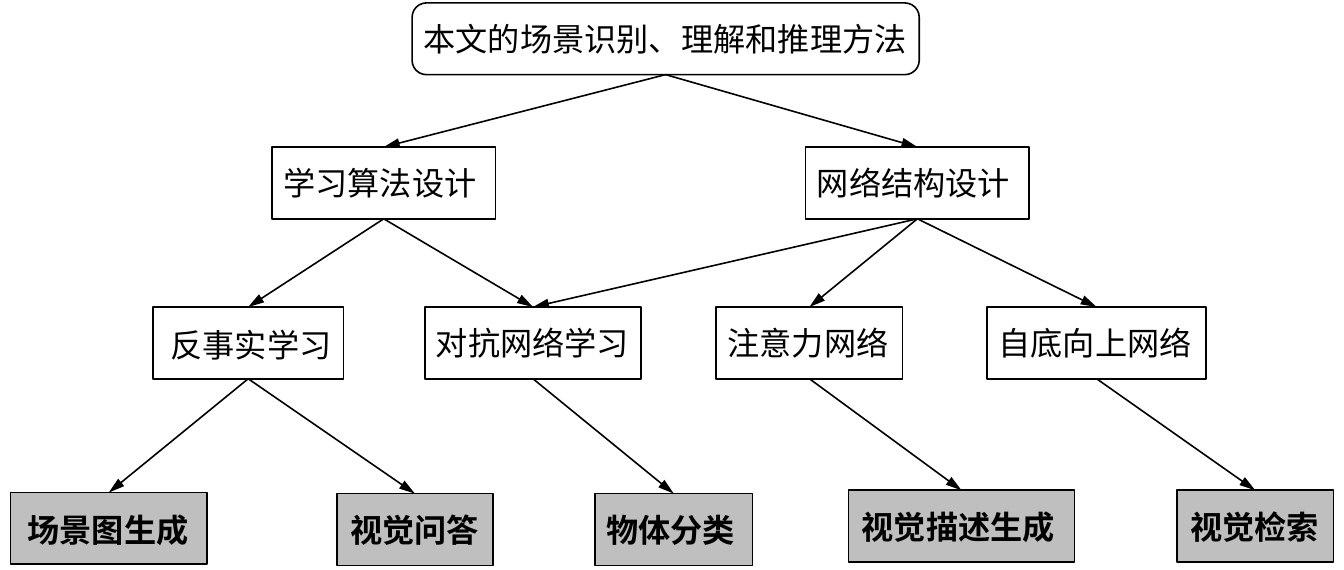
from pptx import Presentation
from pptx.dml.color import RGBColor
from pptx.enum.shapes import MSO_CONNECTOR, MSO_SHAPE
from pptx.enum.text import MSO_ANCHOR, PP_ALIGN
from pptx.oxml.ns import qn
from pptx.util import Pt
from lxml.etree import SubElement

FONT = "Noto Sans CJK SC"
INK, GREY, WHITE = "000000", "BFBFBF", "FFFFFF"
HIGH = 44.6
INSET = 7

# Each level: top, fill, bold, boxes as
# (text, left, width, drop of box, text shift right, text shift down)
LEVELS = [
    (1.8, WHITE, False, [
        ("本文的场景识别、理解和推理方法", 256.3, 315.4, 0, -2.5, 0)]),
    (91.4, WHITE, False, [
        ("学习算法设计", 169.2, 139, 0, 0, 0),
        ("网络结构设计", 501.1, 139, 0, 0, 0)]),
    (190.8, WHITE, False, [
        ("反事实学习", 95, 118.8, 0, 4, 1.2),
        ("对抗网络学习", 264.2, 134.6, 0, 0, 0),
        ("注意力网络", 445.5, 115.9, 0, 0, 0),
        ("自底向上网络", 614, 136.1, 0, 0, 0)]),
    (304.7, GREY, True, [
        ("场景图生成", 6.5, 122.4, 1.4, 3.6, 1),
        ("视觉问答", 209.5, 97.2, 2.1, 1.2, 0),
        ("物体分类", 370.1, 97.9, 2.1, 0, 0),
        ("视觉描述生成", 527.8, 140.4, 0, 1.2, 0),
        ("视觉检索", 732.1, 97.2, 0, 1.2, 0)]),
]
LINKS = {
    "本文的场景识别、理解和推理方法": ["学习算法设计", "网络结构设计"],
    "学习算法设计": ["反事实学习", "对抗网络学习"],
    "网络结构设计": ["对抗网络学习", "注意力网络", "自底向上网络"],
    "反事实学习": ["场景图生成", "视觉问答"],
    "对抗网络学习": ["物体分类"],
    "注意力网络": ["视觉描述生成"],
    "自底向上网络": ["视觉检索"],
}

deck = Presentation()
deck.slide_width, deck.slide_height = Pt(835.92), Pt(354.24)
slide = deck.slides.add_slide(deck.slide_layouts[6])


def tint(code):
    return RGBColor.from_string(code)


def add_box(form, text, left, top, width, shift, sink, fill, bold):
    box = slide.shapes.add_shape(form, Pt(left), Pt(top), Pt(width), Pt(HIGH))
    box.shadow.inherit = False
    box.fill.solid()
    box.fill.fore_color.rgb = tint(fill)
    box.line.color.rgb = tint(INK)
    box.line.width = Pt(1)
    frame = box.text_frame
    frame.word_wrap = True
    frame.vertical_anchor = MSO_ANCHOR.MIDDLE
    frame.margin_left = Pt(INSET + shift)
    frame.margin_top = Pt(2 * sink)
    frame.margin_right = frame.margin_bottom = 0
    para = frame.paragraphs[0]
    para.alignment = PP_ALIGN.LEFT
    run = para.add_run()
    run.text = text
    font = run.font
    font.name, font.size, font.bold = FONT, Pt(20), bold
    font.color.rgb = tint(INK)
    SubElement(run._r.get_or_add_rPr(), qn("a:ea"), typeface=FONT)
    return box


def add_arrow(start, end):
    line = slide.shapes.add_connector(MSO_CONNECTOR.STRAIGHT, 0, 0, 0, 0)
    line.begin_connect(start, 2)  # bottom middle
    line.end_connect(end, 0)  # top middle
    line.line.color.rgb = tint(INK)
    line.line.width = Pt(1)
    SubElement(line.line._get_or_add_ln(), qn("a:tailEnd"),
               type="triangle", w="med", len="lg")
    SubElement(line._element.spPr, qn("a:effectLst"))


# Boxes, level by level; only the root is rounded
boxes = {}
for rank, (top, fill, bold, row) in enumerate(LEVELS):
    form = MSO_SHAPE.RECTANGLE if rank else MSO_SHAPE.ROUNDED_RECTANGLE
    for text, left, width, drop, shift, sink in row:
        boxes[text] = add_box(form, text, left, top + drop, width,
                              shift, sink, fill, bold)
        if not rank:
            boxes[text].adjustments[0] = 0.2

# Arrows from parent to child
for parent, kids in LINKS.items():
    for kid in kids:
        add_arrow(boxes[parent], boxes[kid])

deck.save("out.pptx")
